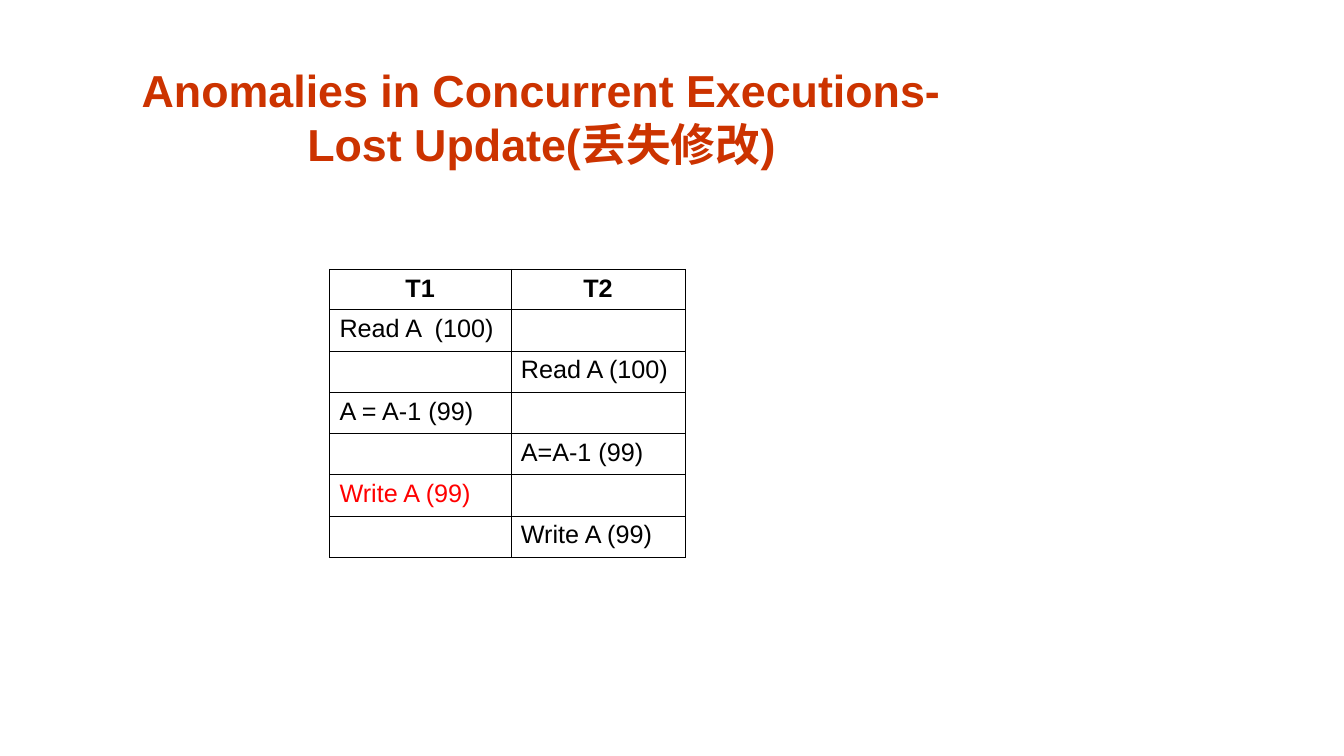
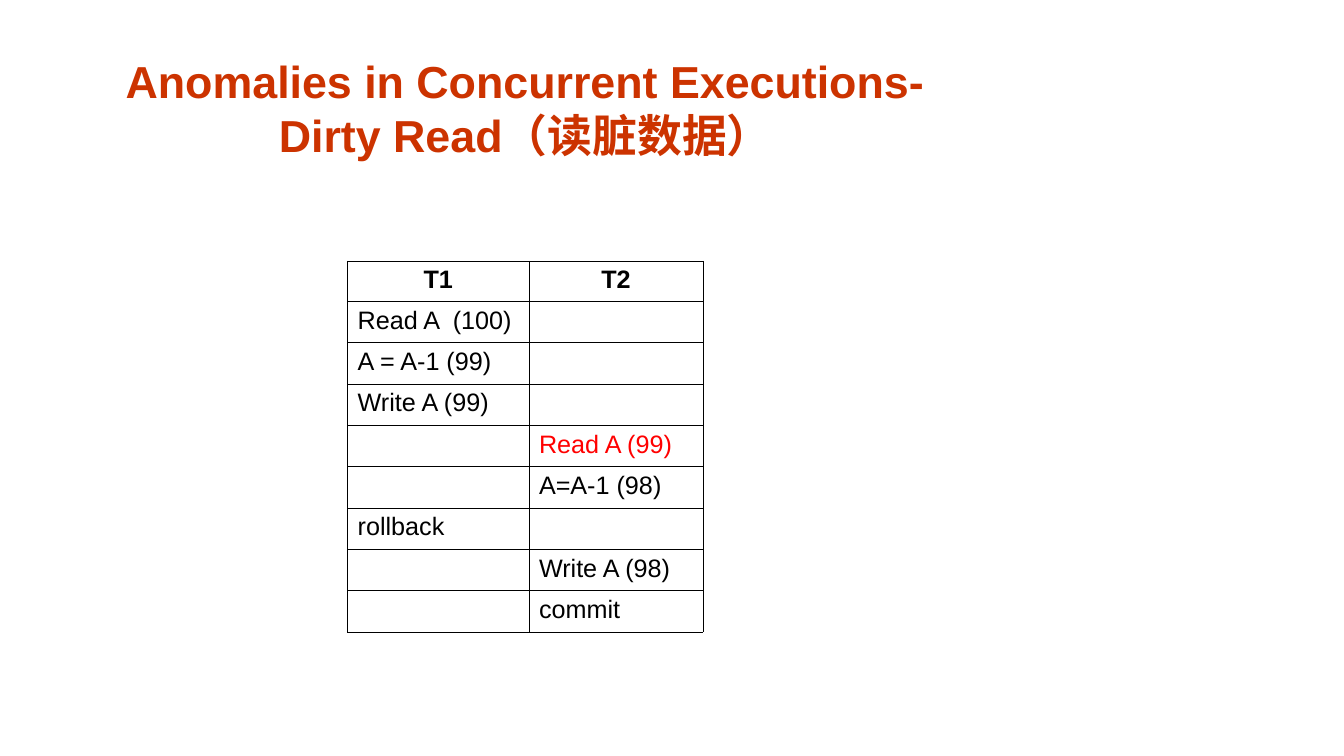
import pptx
import pptx.util
import pptx.dml.color
import pptx.enum.text
import lxml.etree
import pptx.oxml.ns

Inches = pptx.util.Inches
Pt = pptx.util.Pt
Align = pptx.enum.text.PP_ALIGN

COLORS = {"title": "CC3300", "text": "000000", "hot": "FF0000", "line": "000000"}
FONT = "Arial"
TOPIC = "Anomalies in Concurrent Executions-"
HEADS = ("T1", "T2")
COLS = (1.8, 1.73)
HEAD_H, ROW_H = 0.4, 0.41


def add_run(para, text, size, color, bold=False):
    run = para.add_run()
    run.text = text
    run.font.name = FONT
    run.font.size = Pt(size)
    run.font.bold = bold
    run.font.color.rgb = pptx.dml.color.RGBColor.from_string(COLORS[color])


def add_title(slide, box, name):
    shape = slide.shapes.add_textbox(*(Inches(v) for v in box))
    frame = shape.text_frame
    frame.word_wrap = True
    frame.vertical_anchor = pptx.enum.text.MSO_ANCHOR.BOTTOM
    para = frame.paragraphs[0]
    para.alignment = Align.CENTER
    add_run(para, TOPIC, 32, "title", True)
    para.add_line_break()
    add_run(para, name, 32, "title", True)


def style_cell(cell):
    # Thin lines on all four sides, then no fill
    props = cell._tc.get_or_add_tcPr()
    qn = pptx.oxml.ns.qn
    for side in ("lnL", "lnR", "lnT", "lnB"):
        line = lxml.etree.SubElement(props, qn("a:" + side), w=str(Pt(0.45)))
        fill = lxml.etree.SubElement(line, qn("a:solidFill"))
        lxml.etree.SubElement(fill, qn("a:srgbClr"), val=COLORS["line"])
    cell.fill.background()


def add_steps(slide, left, top, steps):
    """Draw a schedule; each step is (column, text, color)."""
    count = len(steps)
    frame = slide.shapes.add_table(
        count + 1, len(COLS), Inches(left), Inches(top),
        Inches(sum(COLS)), Inches(HEAD_H + count * ROW_H))
    table = frame.table
    table.first_row = table.horz_banding = False
    for col, width in zip(table.columns, COLS):
        col.width = Inches(width)
    for i, row in enumerate(table.rows):
        row.height = Inches(ROW_H if i else HEAD_H)
    for cell in table.iter_cells():
        style_cell(cell)

    # Heads
    for i, head in enumerate(HEADS):
        para = table.cell(0, i).text_frame.paragraphs[0]
        para.alignment = Align.CENTER
        add_run(para, head, 18, "text", True)

    # One step per row
    for i, (col, text, color) in enumerate(steps, 1):
        para = table.cell(i, col).text_frame.paragraphs[0]
        add_run(para, text, 18, color)


def add_case(deck, name, title_at, table_at, steps):
    slide = deck.slides.add_slide(deck.slide_layouts[6])
    add_title(slide, (*title_at, 8.83, 1.1), name)
    add_steps(slide, *table_at, steps)


def main():
    deck = pptx.Presentation()
    deck.slide_width = Inches(13.34)
    deck.slide_height = Inches(7.5)

    add_case(deck, "Lost Update(丢失修改)", (0.96, 0.64), (3.27, 2.67), [
        (0, "Read A  (100)", "text"),
        (1, "Read A (100)", "text"),
        (0, "A = A-1 (99)", "text"),
        (1, "A=A-1 (99)", "text"),
        (0, "Write A (99)", "hot"),
        (1, "Write A (99)", "text"),
    ])
    add_case(deck, "Dirty Read（读脏数据）", (0.8, 0.55), (3.45, 2.59), [
        (0, "Read A  (100)", "text"),
        (0, "A = A-1 (99)", "text"),
        (0, "Write A (99)", "text"),
        (1, "Read A (99)", "hot"),
        (1, "A=A-1 (98)", "text"),
        (0, "rollback", "text"),
        (1, "Write A (98)", "text"),
        (1, "commit", "text"),
    ])
    deck.save("out.pptx")


if __name__ == "__main__":
    main()
